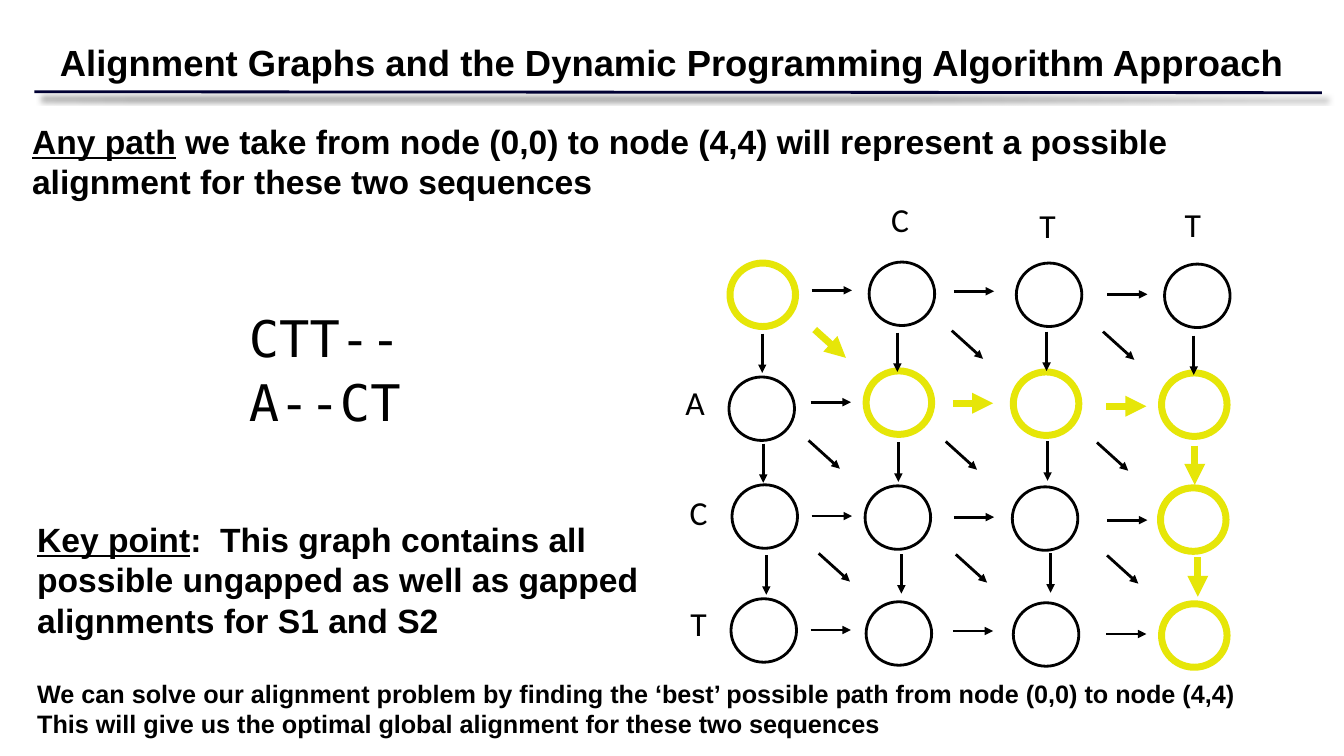
from dataclasses import dataclass
from itertools import product

import lxml.etree
import pptx
import pptx.dml.color
import pptx.enum.shapes
import pptx.enum.text
import pptx.oxml.ns
import pptx.util

PX = 9144
COLORS = {"ink": "000000", "rule": "000033", "route": "E6E608"}
ROUTE = [(0, 0), (1, 1), (1, 2), (1, 3), (2, 3), (3, 3)]
ROUTE_STEPS = set(zip(ROUTE, ROUTE[1:]))
NODE_W, NODE_H = 65, 63
ALIGN = pptx.enum.text.PP_ALIGN


@dataclass
class Run:
    text: str
    underline: bool = False


@dataclass
class Label:
    box: tuple[int, int, int, int]
    paragraphs: list[list[Run]]
    size: int
    font: str = "Arial"
    bold: bool = True
    wrap: bool = True
    align: ALIGN = ALIGN.LEFT


@dataclass
class Lattice:
    col_x: list[int]
    row_shift: list[int]
    row_y: list[int]
    col_shift: list[int]

    def cells(self) -> list[tuple[int, int]]:
        return list(product(range(len(self.row_y)), range(len(self.col_x))))

    def point(self, row: int, col: int) -> tuple[int, int]:
        return (self.col_x[col] + self.row_shift[row],
                self.row_y[row] + self.col_shift[col])


@dataclass
class Arrows:
    lattice: Lattice
    step: tuple[int, int]
    delta: tuple[int, int]


TITLE = Label((44, 35, 1246, 54),
              [[Run("Alignment Graphs and the Dynamic Programming Algorithm Approach")]],
              26, wrap=False, align=ALIGN.CENTER)

LABELS = [
    Label((22, 115, 1290, 91), [[
        Run("Any path", True),
        Run(" we take from node (0,0) to node (4,4) will represent a possible "
            "alignment for these two sequences")]], 24),
    Label((27, 668, 1219, 71), [
        [Run("We can solve our alignment problem by finding the ‘best’ possible "
             "path from node (0,0) to node (4,4)")],
        [Run("This will give us the optimal global alignment for these two sequences")]], 18),
    Label((27, 510, 625, 131), [[
        Run("Key point", True),
        Run(":  This graph contains all possible ungapped as well as gapped "
            "alignments for S1 and S2")]], 24),
]
LABELS += [Label((237, y, 172, 71), [[Run(text)]], 36, "DejaVu Sans Mono", False, False)
           for y, text in [(300, "CTT--"), (363, "A--CT")]]
LABELS += [Label((x, y, 38, 49), [[Run(text)]], 24, "Calibri", False, False)
           for x, y, text in [(874, 192, "C"), (1021, 198, "T"), (1165, 197, "T"),
                              (670, 374, "A"), (674, 483, "C"), (675, 593, "T")]]

FIRST_COLUMN = Lattice([724], [0, -1, 2, 1], [261, 374, 481, 594], [0])
OTHER_COLUMNS = Lattice([862, 1008, 1155], [0, -3, -4, -3], [260, 368, 482, 597], [0, 1, 2])

ARROWS = [
    Arrows(Lattice([805, 946, 1098], [0, -1, 0, -1], [288, 399, 512, 625], [0, 1, 4]),
           (0, 1), (40, 0)),
    Arrows(Lattice([756, 890, 1038, 1184], [0, 1, 4], [331, 440, 551], [0, -1, -2, 2]),
           (1, 0), (0, 39)),
    Arrows(Lattice([808, 944, 1094], [0, -6, 4], [327, 437, 549], [0, 1, 2]),
           (1, 1), (31, 28)),
]


def rgb(name: str) -> pptx.dml.color.RGBColor:
    return pptx.dml.color.RGBColor.from_string(COLORS[name])


def place(sp, box: tuple[int, int, int, int]) -> None:
    sp.left, sp.top, sp.width, sp.height = (v * PX for v in box)


def write(sp, label: Label) -> None:
    place(sp, label.box)
    tf = sp.text_frame
    tf.word_wrap = label.wrap
    tf.auto_size = pptx.enum.text.MSO_AUTO_SIZE.SHAPE_TO_FIT_TEXT
    tf.vertical_anchor = pptx.enum.text.MSO_ANCHOR.TOP
    for i, runs in enumerate(label.paragraphs):
        p = tf.add_paragraph() if i else tf.paragraphs[0]
        p.alignment = label.align
        for run in runs:
            r = p.add_run()
            r.text = run.text
            r.font.name = label.font
            r.font.size = pptx.util.Pt(label.size)
            r.font.bold = label.bold
            r.font.underline = run.underline
            r.font.color.rgb = rgb("ink")


def child(parent, tag: str, **attrs: str):
    return lxml.etree.SubElement(parent, pptx.oxml.ns.qn(tag), attrs)


def outline(sp, color: str, width: int) -> None:
    sp.line.color.rgb = rgb(color)
    sp.line.width = pptx.util.Pt(width)


def add_line(s, start: tuple[int, int], end: tuple[int, int], color: str, width: int):
    sp = s.shapes.add_connector(pptx.enum.shapes.MSO_CONNECTOR.STRAIGHT,
                                *(v * PX for v in start + end))
    outline(sp, color, width)
    return sp, child(sp.element.spPr, "a:effectLst")


def add_title_rule(s) -> None:
    sp, effects = add_line(s, (34, 91), (1311, 92), "rule", 2)
    shadow = child(effects, "a:outerShdw", blurRad=str(pptx.util.Pt(4)),
                   dist=str(pptx.util.Pt(6)), dir="2700000")
    tint = child(shadow, "a:srgbClr", val=COLORS["ink"])
    child(tint, "a:alpha", val="50000")


def add_nodes(s, lattice: Lattice, first_col: int) -> None:
    for row, col in lattice.cells():
        sp = s.shapes.add_shape(pptx.enum.shapes.MSO_SHAPE.OVAL, 0, 0, 0, 0)
        place(sp, (*lattice.point(row, col), NODE_W, NODE_H))
        sp.shadow.inherit = False
        sp.fill.background()
        on_route = (row, first_col + col) in ROUTE
        outline(sp, *(("route", 5) if on_route else ("ink", 2)))


def add_arrows(s, arrows: Arrows) -> None:
    for row, col in arrows.lattice.cells():
        x, y = arrows.lattice.point(row, col)
        target = (row + arrows.step[0], col + arrows.step[1])
        on_route = ((row, col), target) in ROUTE_STEPS
        sp, _ = add_line(s, (x, y), (x + arrows.delta[0], y + arrows.delta[1]),
                         *(("route", 5) if on_route else ("ink", 2)))
        child(sp.element.spPr.find(pptx.oxml.ns.qn("a:ln")), "a:tailEnd", type="triangle")


def main() -> None:
    prs = pptx.Presentation()
    prs.slide_width, prs.slide_height = 1333 * PX, 750 * PX
    s = prs.slides.add_slide(prs.slide_layouts.get_by_name("Title Only"))
    add_title_rule(s)
    write(s.shapes.title, TITLE)
    add_nodes(s, FIRST_COLUMN, 0)
    add_nodes(s, OTHER_COLUMNS, 1)
    for arrows in ARROWS:
        add_arrows(s, arrows)
    for label in LABELS:
        write(s.shapes.add_textbox(0, 0, 0, 0), label)
    prs.save("out.pptx")


if __name__ == "__main__":
    main()
